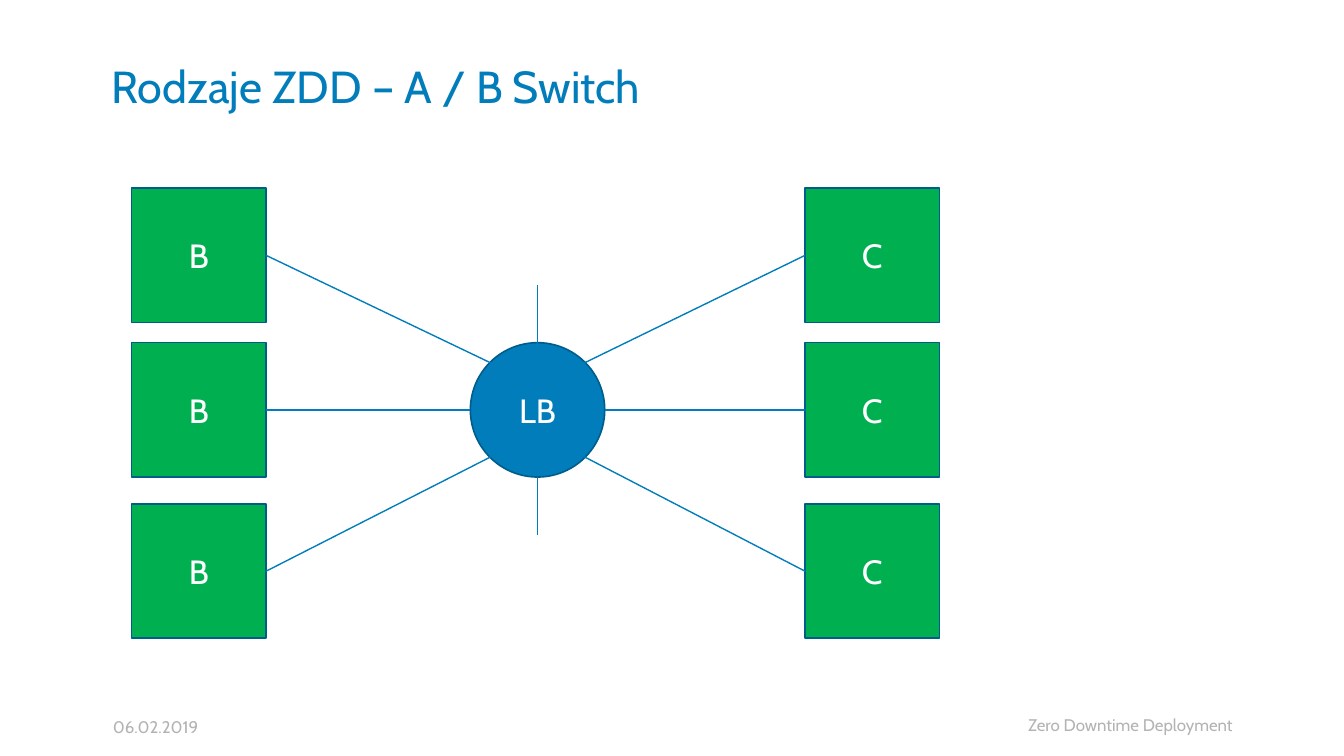
from lxml import etree
from pptx import Presentation
from pptx.dml.color import RGBColor
from pptx.enum.shapes import MSO_CONNECTOR, MSO_SHAPE
from pptx.enum.text import MSO_ANCHOR, MSO_AUTO_SIZE, PP_ALIGN
from pptx.oxml.ns import qn
from pptx.util import Inches, Pt

RECT, OVAL = MSO_SHAPE.RECTANGLE, MSO_SHAPE.OVAL
STRAIGHT = MSO_CONNECTOR.STRAIGHT
MIDDLE, BOTTOM = MSO_ANCHOR.MIDDLE, MSO_ANCHOR.BOTTOM
LEFT, CENTER, RIGHT = PP_ALIGN.LEFT, PP_ALIGN.CENTER, PP_ALIGN.RIGHT

THEME = {
    "font": "Cabin",
    "blue": "007DBA", "outline": "005C8A", "green": "00B050",
    "grey": "B3B3B3", "white": "FFFFFF",
    "title": 24, "node": 18, "footer": 9,
    "border": 0.85, "link": 0.75,
}

TITLE = ("Rodzaje ZDD – A / B Switch", (0.83, 0.45, 8.35, 0.39))
FOOTERS = [
    ("Zero Downtime Deployment", (7.2, 5.17, 1.97, 0.45), RIGHT),
    ("06.02.2019", (0.84, 5.19, 6.05, 0.43), LEFT),
]
SERVERS = [("B", 0.98, -1), ("C", 5.99, 1)]
BALANCER = ("LB", 3.5, 2.55)
ROWS = [1.4, 2.55, 3.75]
NODE = 1
STUB = 0.43
DIAGONAL = 0.35


def color(name):
    return RGBColor.from_string(THEME[name])


def write(s, text, size, ink, align, anchor, inset=None):
    tf = s.text_frame
    settings = {"word_wrap": True, "auto_size": MSO_AUTO_SIZE.NONE,
                "vertical_anchor": anchor}
    if inset is not None:
        for side in ("left", "top", "right", "bottom"):
            settings["margin_" + side] = Inches(inset)
    for key, value in settings.items():
        setattr(tf, key, value)
    p = tf.paragraphs[0]
    p.alignment = align
    r = p.add_run()
    r.text = text
    for key, value in {"name": THEME["font"], "size": Pt(THEME[size])}.items():
        setattr(r.font, key, value)
    r.font.color.rgb = color(ink)


def add_node(slide, kind, text, x, y, fill):
    s = slide.shapes.add_shape(kind, *map(Inches, (x, y, NODE, NODE)))
    s.shadow.inherit = False
    s.fill.solid()
    s.fill.fore_color.rgb = color(fill)
    s.line.color.rgb = color("outline")
    s.line.width = Pt(THEME["border"])
    write(s, text, "node", "white", CENTER, MIDDLE)


def add_link(slide, start, end):
    s = slide.shapes.add_connector(STRAIGHT, *map(Inches, (*start, *end)))
    s.line.color.rgb = color("blue")
    s.line.width = Pt(THEME["link"])
    etree.SubElement(s._element.spPr, qn("a:effectLst"))


def main():
    prs = Presentation()
    prs.slide_width = Inches(10)
    prs.slide_height = prs.slide_width * 9 // 16
    slide = prs.slides.add_slide(prs.slide_layouts[5])

    text, box = TITLE
    title = slide.shapes.title
    for key, value in zip(("left", "top", "width", "height"), box):
        setattr(title, key, Inches(value))
    write(title, text, "title", "blue", LEFT, BOTTOM, 0)

    for text, box, align in FOOTERS:
        s = slide.shapes.add_textbox(*map(Inches, box))
        write(s, text, "footer", "grey", align, MIDDLE, 0)

    radius = NODE / 2
    label, x, y = BALANCER
    cx, cy = x + radius, y + radius
    add_node(slide, OVAL, label, x, y, "blue")
    for way in (-1, 1):
        edge = cy + way * radius
        add_link(slide, (cx, edge), (cx, edge + way * STUB))

    for label, left, side in SERVERS:
        inner = left + radius - side * radius
        for row, top in enumerate(ROWS):
            add_node(slide, RECT, label, left, top, "green")
            way = row - 1
            reach = DIAGONAL if way else radius
            add_link(slide, (inner, top + radius),
                     (cx + side * reach, cy + way * DIAGONAL))

    prs.save("out.pptx")


if __name__ == "__main__":
    main()
